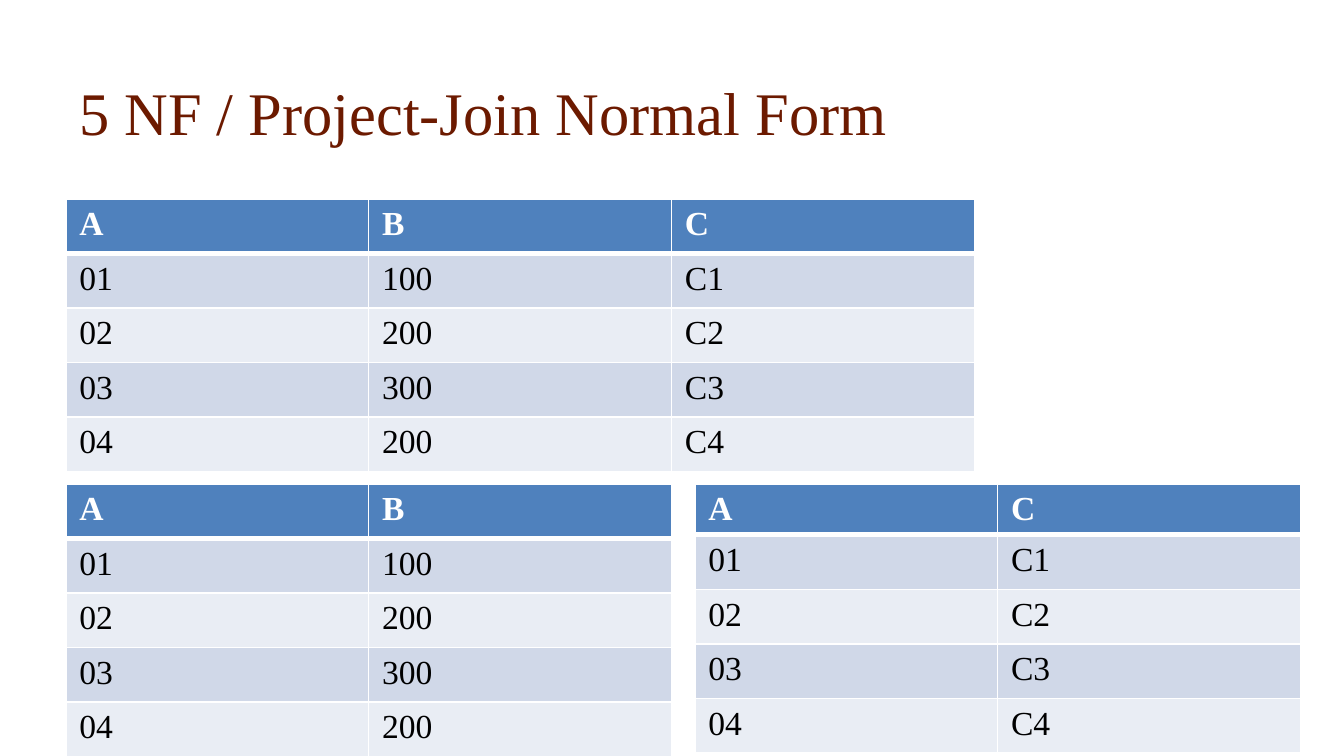
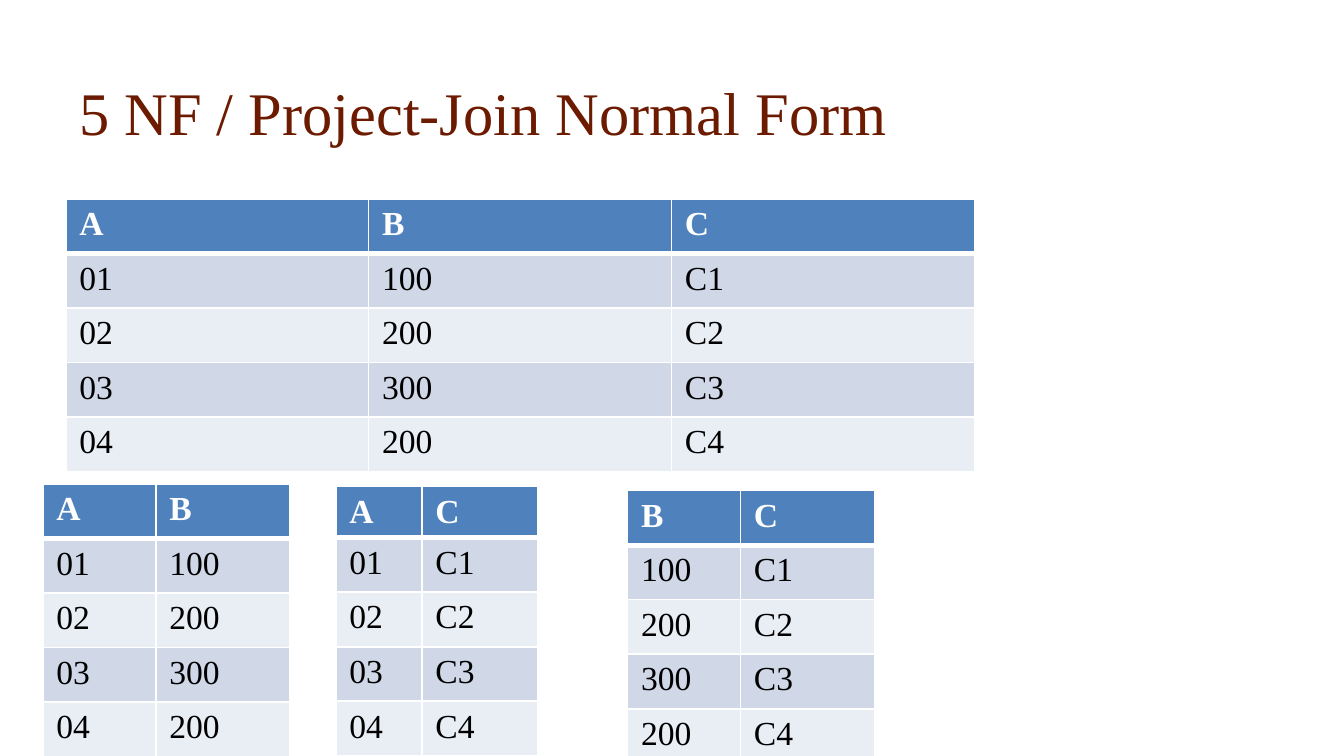
from lxml import etree
from pptx import Presentation
from pptx.dml.color import RGBColor
from pptx.enum.text import MSO_ANCHOR
from pptx.oxml.ns import qn
from pptx.util import Inches, Pt

TOP = MSO_ANCHOR.TOP
FONT = "Times New Roman"
COLORS = {
    "title": "6C1A00",
    "header": "4F81BD",
    "header_text": "FFFFFF",
    "body_text": "000000",
    "odd_row": "D0D8E8",
    "even_row": "E9EDF4",
    "border": "FFFFFF",
}
SLIDE_WIDTH = 10
SLIDE_HEIGHT = SLIDE_WIDTH * 9 / 16
TITLE = "5 NF / Project-Join Normal Form"
TITLE_BOX = (0.49, 0.14, 9.02, 0.84)
RELATION = {
    "A": ["01", "02", "03", "04"],
    "B": ["100", "200", "300", "200"],
    "C": ["C1", "C2", "C3", "C4"],
}
ROW_HEIGHT = 2.03 / 5
LOW_HEADER = 0.38
WIDE = 6.76 / 3
FULL_RELATION = ("ABC", 0.49, 1.48, (WIDE, WIDE, WIDE), ROW_HEIGHT)
SLIDES = [
    [
        ("AB", 0.49, 3.6, (WIDE, WIDE), ROW_HEIGHT),
        ("AC", 5.17, 3.6, (WIDE, WIDE), LOW_HEADER),
        FULL_RELATION,
    ],
    [
        ("AB", 0.32, 3.6, (0.84, 1), ROW_HEIGHT),
        ("AC", 2.5, 3.62, (0.64, 0.86), LOW_HEADER),
        FULL_RELATION,
        ("BC", 4.67, 3.65, (0.84, 1), ROW_HEIGHT),
    ],
]


def style_font(font, size, color, bold=False):
    """Apply the shared typeface with a size, colour and weight."""
    font.name = FONT
    font.size = Pt(size)
    font.bold = bold
    font.color.rgb = RGBColor.from_string(COLORS[color])


def add_title(slide, box):
    """Place the slide title in the lower part of its box."""
    shape = slide.shapes.add_textbox(*map(Inches, box))
    frame = shape.text_frame
    frame.word_wrap = True
    frame.vertical_anchor = TOP
    frame.margin_top = Inches(0.42)
    frame.margin_bottom = 0
    paragraph = frame.paragraphs[0]
    paragraph.text = TITLE
    style_font(paragraph.font, 32.4, "title")


def set_borders(cell, widths):
    """Draw the left, right, top and bottom borders of a cell."""
    properties = cell._tc.get_or_add_tcPr()
    for index, (side, width) in enumerate(zip("LRTB", widths)):
        line = etree.Element(qn(f"a:ln{side}"), w=str(Pt(width)))
        fill = etree.SubElement(line, qn("a:solidFill"))
        etree.SubElement(fill, qn("a:srgbClr"), val=COLORS["border"])
        properties.insert(index, line)


def style_cell(cell, row):
    """Give a cell the fill, font and borders of its row."""
    if row == 0:
        fill, color, borders = "header", "header_text", (1, 1, 1, 3)
        cell.margin_bottom = Inches(0.03)
    else:
        fill = "odd_row" if row % 2 else "even_row"
        color, borders = "body_text", (1, 1, 3 if row == 1 else 1, 1)
    cell.fill.solid()
    cell.fill.fore_color.rgb = RGBColor.from_string(COLORS[fill])
    style_font(cell.text_frame.paragraphs[0].font, 18, color, row == 0)
    set_borders(cell, borders)


def add_projection(slide, attributes, left, top, widths, header_height):
    """Add a table with the chosen attributes of the relation."""
    columns = [[name, *RELATION[name]] for name in attributes]
    row_count = len(columns[0])
    heights = [header_height] + [ROW_HEIGHT] * (row_count - 1)
    box = (left, top, sum(widths), sum(heights))
    table = slide.shapes.add_table(row_count, len(columns), *map(Inches, box)).table
    for row, height in zip(table.rows, heights):
        row.height = Inches(height)
    for column, (values, width) in enumerate(zip(columns, widths)):
        table.columns[column].width = Inches(width)
        for row, value in enumerate(values):
            cell = table.cell(row, column)
            cell.text = value
            style_cell(cell, row)


def add_normal_form_slide(presentation, projections):
    """Add a titled slide with a set of relation tables."""
    slide = presentation.slides.add_slide(presentation.slide_layouts[6])
    add_title(slide, TITLE_BOX)
    for projection in projections:
        add_projection(slide, *projection)


def main():
    """Build and save the presentation."""
    presentation = Presentation()
    presentation.slide_width = Inches(SLIDE_WIDTH)
    presentation.slide_height = Inches(SLIDE_HEIGHT)
    for projections in SLIDES:
        add_normal_form_slide(presentation, projections)
    presentation.save("out.pptx")


if __name__ == "__main__":
    main()
